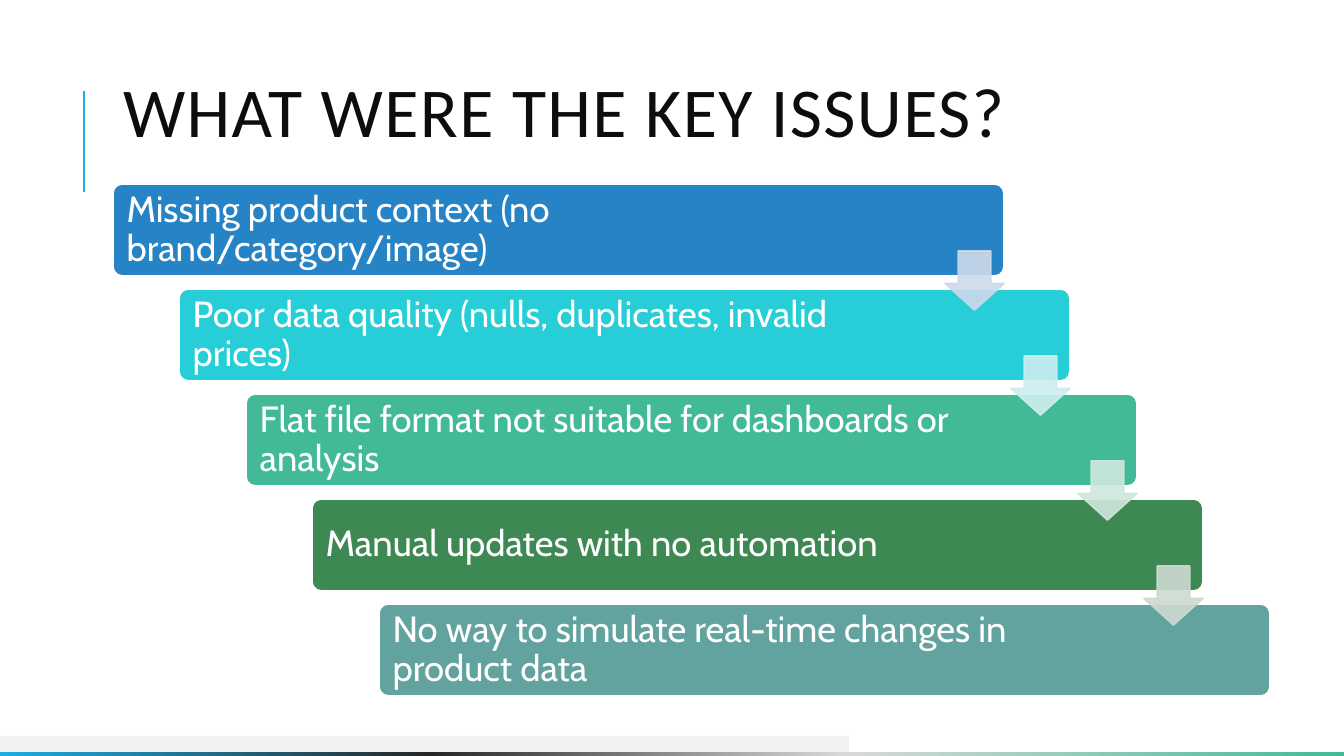
from dataclasses import dataclass

from lxml import etree
from pptx import Presentation
from pptx import util as u
from pptx.dml.color import RGBColor
from pptx.enum import shapes, text
from pptx.oxml.ns import qn


@dataclass(frozen=True)
class Theme:
    title_font: str = "Calibri"
    body_font: str = "Cabin"
    title_size: int = 50
    body_size: int = 26
    outline: float = 1.25
    ink: str = "0D0D0D"
    white: str = "FFFFFF"
    accent: str = "1CADE4"
    footer: str = "F2F2F2"
    strip: tuple = ((0, "1CADE4"), (32, "262626"), (63, "D9D9D9"), (100, "42BA97"))


THEME = Theme()
EMU_PER_PX = 914400 / 100.8
BAR_LEFT, BAR_TOP, BAR_WIDTH, BAR_HEIGHT = 113, 184, 891, 92
STEP_DOWN = 105
ARROW_SIZE, ARROW_DX, ARROW_DY = 59, 832, 67

# Wording, bar colour, colour of the arrow to the next bar
ISSUES = [
    ("Missing product context (no brand/category/image)", "2683C6", "CDD9EA"),
    ("Poor data quality (nulls, duplicates, invalid prices)", "27CED7", "CDEDF0"),
    ("Flat file format not suitable for dashboards or analysis", "42BA97", "CFE7DD"),
    ("Manual updates with no automation", "3E8853", "CEDAD1"),
    ("No way to simulate real-time changes in product data", "62A39F", None),
]


def px(length):
    return u.Emu(round(length * EMU_PER_PX))


def rgb(colour):
    return RGBColor.from_string(colour)


def add_block(slide, kind, left, top, width, height, colour, outline=None):
    shape = slide.shapes.add_shape(kind, px(left), px(top), px(width), px(height))
    shape.shadow.inherit = False
    shape.fill.solid()
    shape.fill.fore_color.rgb = rgb(colour)
    if outline:
        shape.line.color.rgb = rgb(outline)
        shape.line.width = u.Pt(THEME.outline)
    else:
        shape.line.fill.background()
    return shape


def format_paragraph(paragraph, font_name, size, colour, line_spacing):
    paragraph.alignment = text.PP_ALIGN.LEFT
    paragraph.line_spacing = line_spacing
    paragraph.font.name = font_name
    paragraph.font.size = u.Pt(size)
    paragraph.font.color.rgb = rgb(colour)


def add_title(slide, wording):
    title = slide.shapes.title
    title.left, title.top, title.width, title.height = map(px, (113, 35, 1071, 165))
    frame = title.text_frame
    frame.text = wording
    frame.word_wrap = True
    frame.auto_size = text.MSO_AUTO_SIZE.NONE
    frame.vertical_anchor = text.MSO_ANCHOR.MIDDLE
    paragraph = frame.paragraphs[0]
    format_paragraph(paragraph, THEME.title_font, THEME.title_size, THEME.ink, 0.8)
    paragraph.runs[0]._r.get_or_add_rPr().set("spc", "100")


def add_title_rule(slide):
    rule = slide.shapes.add_connector(
        shapes.MSO_CONNECTOR.STRAIGHT, px(84), px(192), px(84), px(91))
    rule.line.color.rgb = rgb(THEME.accent)
    rule.line.width = u.Pt(1.5)
    etree.SubElement(rule._element.spPr, qn("a:effectLst"))


def add_footer(slide):
    rectangle = shapes.MSO_SHAPE.RECTANGLE
    add_block(slide, rectangle, 0, 736, 849, 16, THEME.footer)
    strip = add_block(slide, rectangle, 0, 752, 1344, 4, THEME.accent)
    strip.fill.gradient()
    strip.fill.gradient_angle = 0
    stops = strip._element.spPr.find(qn("a:gradFill")).find(qn("a:gsLst"))
    for stop in list(stops):
        stops.remove(stop)
    for percent, colour in THEME.strip:
        stop = etree.SubElement(stops, qn("a:gs"), pos=str(percent * 1000))
        etree.SubElement(stop, qn("a:srgbClr"), val=colour)


def add_bar(slide, left, top, wording, colour):
    bar = add_block(slide, shapes.MSO_SHAPE.ROUNDED_RECTANGLE, left, top,
                    BAR_WIDTH, BAR_HEIGHT, colour, THEME.white)
    bar.adjustments[0] = 0.1
    frame = bar.text_frame
    frame.text = wording
    frame.word_wrap = True
    frame.vertical_anchor = text.MSO_ANCHOR.MIDDLE
    frame.margin_left, frame.margin_right = px(11), px(140)
    frame.margin_top = frame.margin_bottom = 0
    format_paragraph(frame.paragraphs[0], THEME.body_font, THEME.body_size,
                     THEME.white, 0.9)


def add_arrow(slide, left, top, colour):
    arrow = add_block(slide, shapes.MSO_SHAPE.DOWN_ARROW, left, top,
                      ARROW_SIZE, ARROW_SIZE, colour, colour)
    arrow.adjustments[0], arrow.adjustments[1] = 0.55, 0.45
    for tint in arrow._element.spPr.iter(qn("a:srgbClr")):
        etree.SubElement(tint, qn("a:alpha"), val="90000")


def add_staircase(slide):
    places = [(BAR_LEFT + i * 133 // 2, BAR_TOP + i * STEP_DOWN)
              for i in range(len(ISSUES))]
    for (left, top), (wording, colour, _) in zip(places, ISSUES):
        add_bar(slide, left, top, wording, colour)
    for (left, top), (_, _, colour) in zip(places, ISSUES):
        if colour:
            add_arrow(slide, left + ARROW_DX, top + ARROW_DY, colour)


def main():
    presentation = Presentation()
    presentation.slide_width, presentation.slide_height = px(1344), px(756)
    slide = presentation.slides.add_slide(presentation.slide_layouts[5])
    add_title_rule(slide)
    add_footer(slide)
    add_title(slide, "WHAT WERE THE KEY ISSUES?")
    add_staircase(slide)
    presentation.save("out.pptx")


if __name__ == "__main__":
    main()
